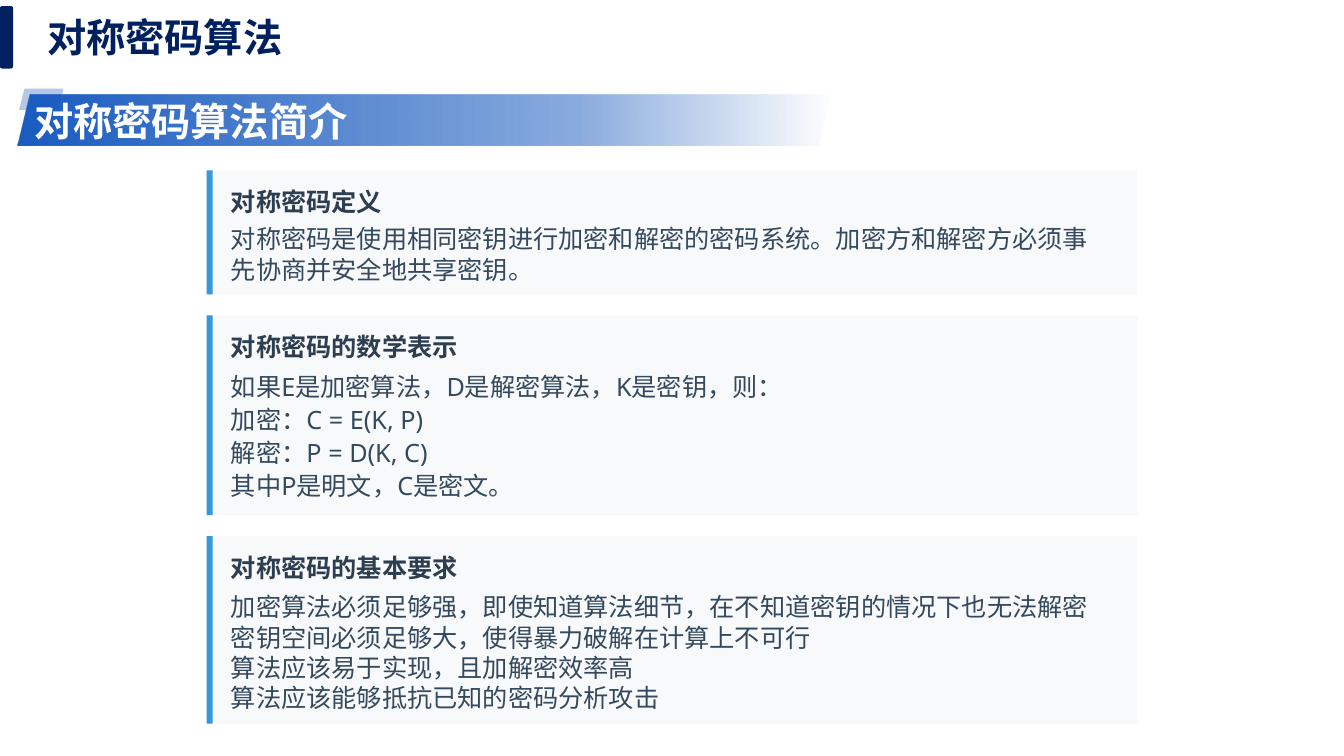
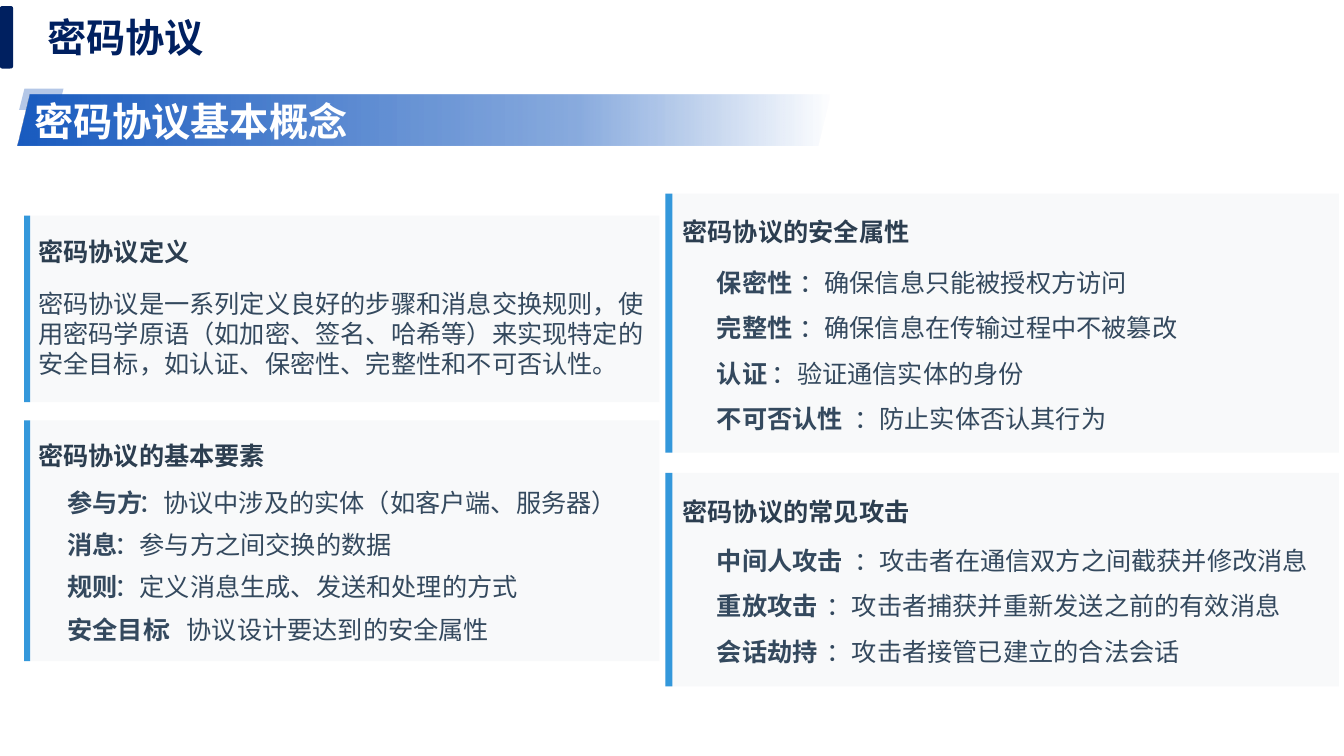
from lxml import etree
from pptx import Presentation
from pptx.dml.color import RGBColor
from pptx.enum import shapes, text
from pptx.oxml.ns import qn
from pptx.util import Inches, Pt

COLORS = {
    "navy": "002060", "band": "1A5CC0", "tab": "B4C7E7", "white": "FFFFFF",
    "card": "F8F9FA", "accent": "3498DB", "heading": "2C3E50", "body": "34495E",
}
CJK_FONT = "Noto Sans CJK SC"
LATIN_FONT = "Noto Sans"
LINE_HEIGHT = 0.3
CHARACTER_WIDTH = 0.25
BAND_STOPS = [(0, 100), (69, 51), (100, 0)]  # position and opacity in percent

# Each column of cards; the pitch is the term width allowed per character.
CENTER = dict(left=2.05, width=9.23, bar=0.06, inset=0.24, right_inset=0.29,
              heading=0.31, font=LATIN_FONT)
LEFT = dict(left=0.24, width=6.3, bar=0.06, inset=0.14, right_inset=0.15,
            heading=0.35, font=CJK_FONT, indent=0.29, pitch=0.233)
RIGHT = dict(left=6.6, width=6.68, bar=0.07, inset=0.17, right_inset=0.15,
             heading=0.38, font=CJK_FONT, indent=0.34, pitch=0.2725)

# Cards: column, top, height, heading, first line middle, line step, lines.
# A line is plain text or a term with its description.
SLIDES = [
    ("对称密码算法", "对称密码算法简介", [
        (CENTER, 1.69, 1.23, "对称密码定义", 0.83, 0, [
            "对称密码是使用相同密钥进行加密和解密的密码系统。"
            "加密方和解密方必须事先协商并安全地共享密钥。"]),
        (CENTER, 3.13, 1.98, "对称密码的数学表示", 0.7, 0.33, [
            "如果E是加密算法，D是解密算法，K是密钥，则：",
            "加密：C = E(K, P)",
            "解密：P = D(K, C)",
            "其中P是明文，C是密文。"]),
        (CENTER, 5.32, 1.86, "对称密码的基本要求", 0.7, 0.3, [
            "加密算法必须足够强，即使知道算法细节，在不知道密钥的情况下也无法解密",
            "密钥空间必须足够大，使得暴力破解在计算上不可行",
            "算法应该易于实现，且加解密效率高",
            "算法应该能够抵抗已知的密码分析攻击"]),
    ]),
    ("密码协议", "密码协议基本概念", [
        (LEFT, 2.14, 1.85, "密码协议定义", 1.17, 0, [
            "密码协议是一系列定义良好的步骤和消息交换规则，使用密码学原语"
            "（如加密、签名、哈希等）来实现特定的安全目标，"
            "如认证、保密性、完整性和不可否认性。"]),
        (LEFT, 4.17, 2.39, "密码协议的基本要素", 0.81, 0.42, [
            ("参与方", "：协议中涉及的实体（如客户端、服务器）"),
            ("消息", "：参与方之间交换的数据"),
            ("规则", "：定义消息生成、发送和处理的方式"),
            ("安全目标", "：协议设计要达到的安全属性")]),
        (RIGHT, 1.92, 2.57, "密码协议的安全属性", 0.88, 0.45, [
            ("保密性", "：确保信息只能被授权方访问"),
            ("完整性", "：确保信息在传输过程中不被篡改"),
            ("认证", "：验证通信实体的身份"),
            ("不可否认性", "：防止实体否认其行为")]),
        (RIGHT, 4.69, 2.12, "密码协议的常见攻击", 0.87, 0.45, [
            ("中间人攻击", "：攻击者在通信双方之间截获并修改消息"),
            ("重放攻击", "：攻击者捕获并重新发送之前的有效消息"),
            ("会话劫持", "：攻击者接管已建立的合法会话")]),
    ]),
]


def add_block(slide, kind, left, top, width, height, color):
    shape = slide.shapes.add_shape(
        kind, Inches(left), Inches(top), Inches(width), Inches(height))
    shape.shadow.inherit = False
    shape.line.fill.background()
    shape.fill.solid()
    shape.fill.fore_color.rgb = RGBColor.from_string(COLORS[color])
    return shape


def write_text(shape, words, box, color, size=18, bold=False, font=CJK_FONT, inset=0):
    """Place the shape at box, as left, middle, width, height, and fill in its words."""
    left, middle, width, height = box
    frame = shape.text_frame
    formats = [
        (shape, dict(left=Inches(left), top=Inches(middle - height / 2),
                     width=Inches(width), height=Inches(height))),
        (frame, dict(text=words, word_wrap=True, auto_size=text.MSO_AUTO_SIZE.NONE,
                     vertical_anchor=text.MSO_ANCHOR.MIDDLE,
                     margin_left=Inches(inset), margin_right=Inches(inset),
                     margin_top=0, margin_bottom=0)),
    ]
    for target, values in formats:
        for name, value in values.items():
            setattr(target, name, value)
    paragraph = frame.paragraphs[0]
    paragraph.alignment = text.PP_ALIGN.LEFT
    run = paragraph.runs[0]
    for name, value in dict(name=font, size=Pt(size), bold=bold).items():
        setattr(run.font, name, value)
    run.font.color.rgb = RGBColor.from_string(COLORS[color])
    etree.SubElement(run.font._element, qn("a:ea"), typeface=font)


presentation = Presentation()
presentation.slide_width = Inches(13.33)
presentation.slide_height = Inches(7.5)
kinds = shapes.MSO_SHAPE

for title, subtitle, cards in SLIDES:
    slide = presentation.slides.add_slide(presentation.slide_layouts[5])
    add_block(slide, kinds.ROUNDED_RECTANGLE, 0, 0.06, 0.13, 0.62, "navy")
    write_text(slide.shapes.title, title, (0.37, 0.37, 7.98, 0.57), "navy",
               size=28, bold=True, inset=0.1)

    add_block(slide, kinds.PARALLELOGRAM, 0.19, 0.88, 0.44, 0.21, "tab")
    band = add_block(slide, kinds.PARALLELOGRAM, 0.17, 0.94, 8.07, 0.5, "band")
    band.fill.gradient()
    band.fill.gradient_angle = 0
    stops = band.element.spPr.find(qn("a:gradFill")).find(qn("a:gsLst"))
    for stop in list(stops):
        stops.remove(stop)
    for position, opacity in BAND_STOPS:
        stop = etree.SubElement(stops, qn("a:gs"), pos=str(position * 1000))
        color = etree.SubElement(stop, qn("a:srgbClr"), val=COLORS["band"])
        etree.SubElement(color, qn("a:alpha"), val=str(opacity * 1000))
    subtitle_box = slide.shapes.add_textbox(0, 0, 0, 0)
    write_text(subtitle_box, subtitle, (0.24, 1.2, 7.43, 0.57), "white",
               size=28, bold=True, inset=0.1)

    for column, top, height, heading, first, step, lines in cards:
        left, width, font = column["left"], column["width"], column["font"]
        add_block(slide, kinds.RECTANGLE, left, top, width, height, "card")
        add_block(slide, kinds.RECTANGLE, left, top, column["bar"], height, "accent")

        text_left = left + column["inset"]
        text_right = left + width - column["right_inset"]
        pieces = [(heading, text_left, top + column["heading"], "heading", True)]
        for index, line in enumerate(lines):
            middle = top + first + index * step
            if isinstance(line, str):
                pieces.append((line, text_left, middle, "body", False))
            else:
                term, description = line
                term_left = text_left + column["indent"]
                description_left = term_left + column["pitch"] * len(term)
                pieces.append((term, term_left, middle, "body", True))
                pieces.append((description, description_left, middle, "body", False))

        for words, piece_left, middle, color, bold in pieces:
            room = text_right - piece_left
            if bold:
                room = CHARACTER_WIDTH * len(words) + 0.05
            rows = -(-len(words) * CHARACTER_WIDTH // room)
            box = (piece_left, middle, room, LINE_HEIGHT * rows)
            write_text(slide.shapes.add_textbox(0, 0, 0, 0), words, box, color,
                       bold=bold, font=font)

presentation.save("out.pptx")
